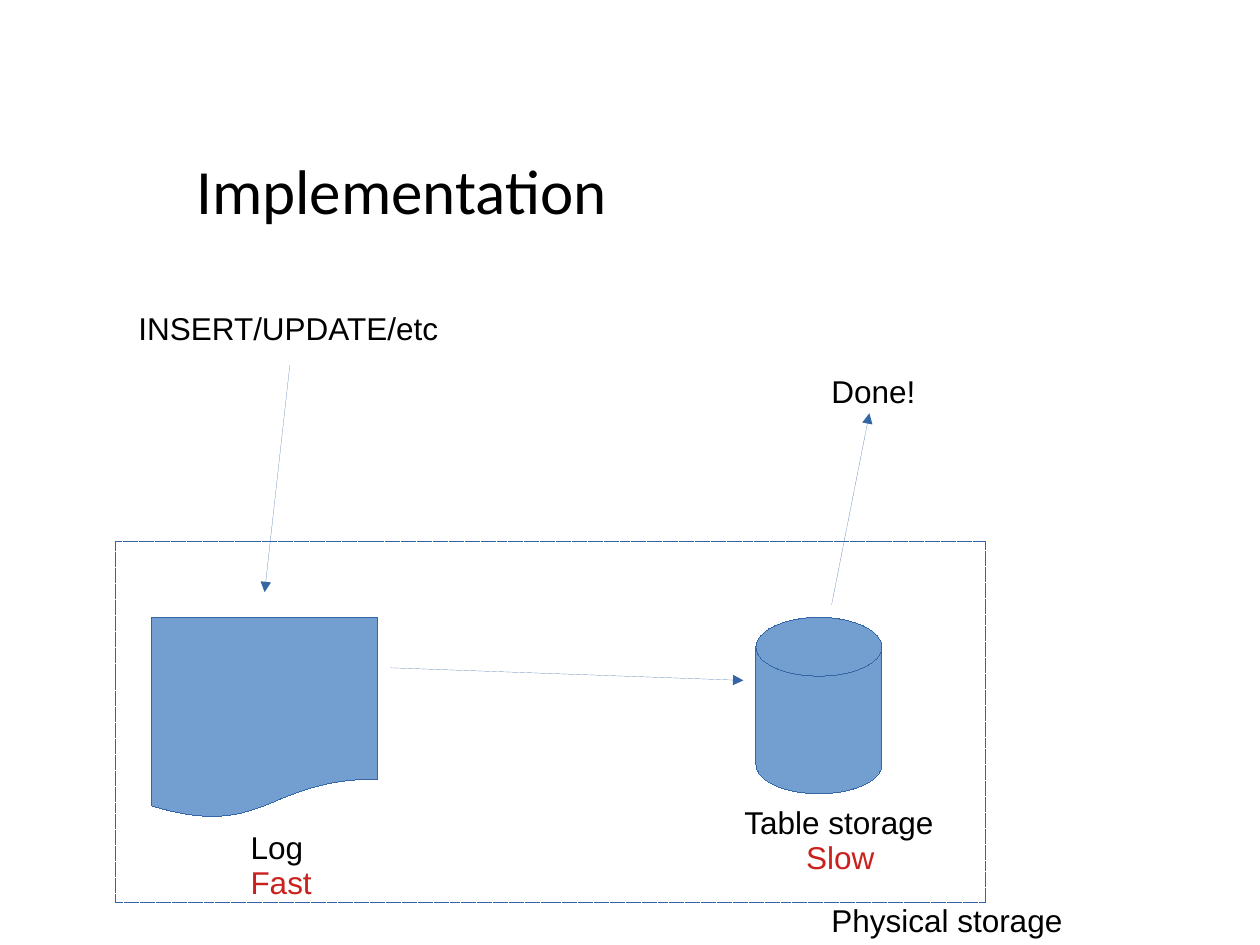
"""Build the slide on how a write reaches the log and then the table storage."""
from lxml.etree import SubElement
from pptx import Presentation
from pptx.dml.color import RGBColor
from pptx.enum.dml import MSO_LINE
from pptx.enum.shapes import MSO_CONNECTOR, MSO_SHAPE
from pptx.enum.text import MSO_AUTO_SIZE
from pptx.oxml.ns import qn
from pptx.util import Inches, Pt

BLACK, RED, BLUE, EDGE = "000000", "C9211E", "729FCF", "3465A4"


def color(value):
    return RGBColor.from_string(value)


def draw_hairline(line):
    line.color.rgb = color(EDGE)
    outline = line._get_or_add_ln()
    outline.set("w", "0")
    return outline


prs = Presentation()
prs.slide_width, prs.slide_height = Inches(10), Inches(7.5)
slide = prs.slides.add_slide(prs.slide_layouts[6])

for kind, left, top, width, height, fill in [
    (MSO_SHAPE.FLOWCHART_MAGNETIC_DISK, 6, 4.9, 1, 1.4, BLUE),
    (MSO_SHAPE.FLOWCHART_DOCUMENT, 1.2, 4.9, 1.8, 1.6, BLUE),
    (MSO_SHAPE.RECTANGLE, 0.92, 4.3, 6.9, 2.86, None),
]:
    store = slide.shapes.add_shape(kind, Inches(left), Inches(top), Inches(width), Inches(height))
    store.shadow.inherit = False
    draw_hairline(store.line)
    if fill:
        store.fill.solid()
        store.fill.fore_color.rgb = color(fill)
    else:
        store.fill.background()
        store.line.dash_style = MSO_LINE.SQUARE_DOT

for start_x, start_y, end_x, end_y in [
    (2.3, 2.9, 2.1, 4.7),
    (3.1, 5.3, 5.9, 5.4),
    (6.6, 4.8, 6.9, 3.28),
]:
    step = slide.shapes.add_connector(
        MSO_CONNECTOR.STRAIGHT, Inches(start_x), Inches(start_y), Inches(end_x), Inches(end_y)
    )
    SubElement(draw_hairline(step.line), qn("a:tailEnd"), type="triangle")
    SubElement(step._element.spPr, qn("a:effectLst"))

title_format = {"size": Pt(36), "name": "Calibri"}
label_format = {"size": Pt(18), "name": "Arial"}
for words, left, top, width, height, tint, text_format in [
    ("Implementation", 1.46, 1.15, 7.09, 0.7, BLACK, title_format),
    ("INSERT/UPDATE/etc", 1, 2.4, 2.65, 0.38, BLACK, label_format),
    ("Done!", 6.5, 2.9, 0.95, 0.38, BLACK, label_format),
    ("Log", 1.89, 6.52, 0.7, 0.38, BLACK, label_format),
    ("Fast", 1.89, 6.8, 0.75, 0.38, RED, label_format),
    ("Table storage", 5.81, 6.32, 1.8, 0.38, BLACK, label_format),
    ("Slow", 6.3, 6.6, 0.85, 0.38, RED, label_format),
    ("Physical storage", 6.5, 7.1, 2.1, 0.38, BLACK, label_format),
]:
    label = slide.shapes.add_textbox(Inches(left), Inches(top), Inches(width), Inches(height))
    frame = label.text_frame
    frame.word_wrap = True
    frame.auto_size = MSO_AUTO_SIZE.SHAPE_TO_FIT_TEXT
    run = frame.paragraphs[0].add_run()
    run.text = words
    for name, value in text_format.items():
        setattr(run.font, name, value)
    run.font.color.rgb = color(tint)

prs.save("out.pptx")
